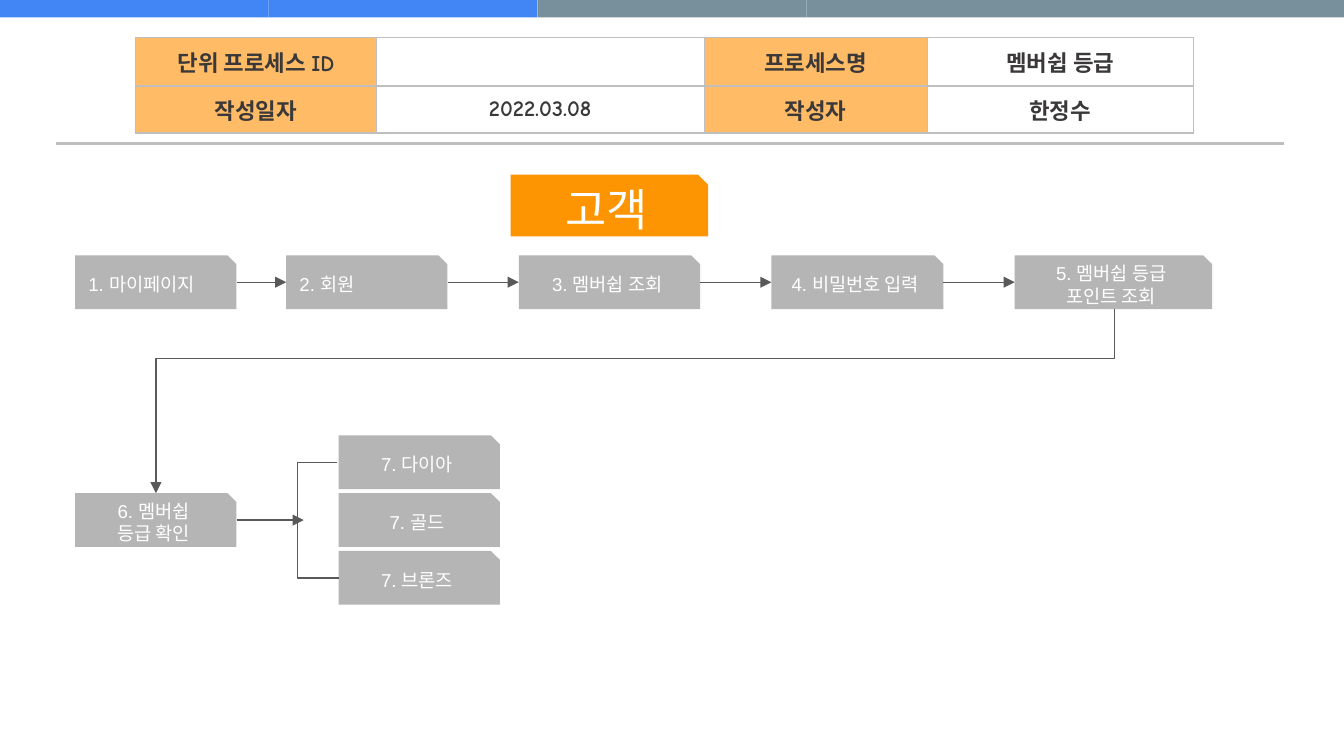
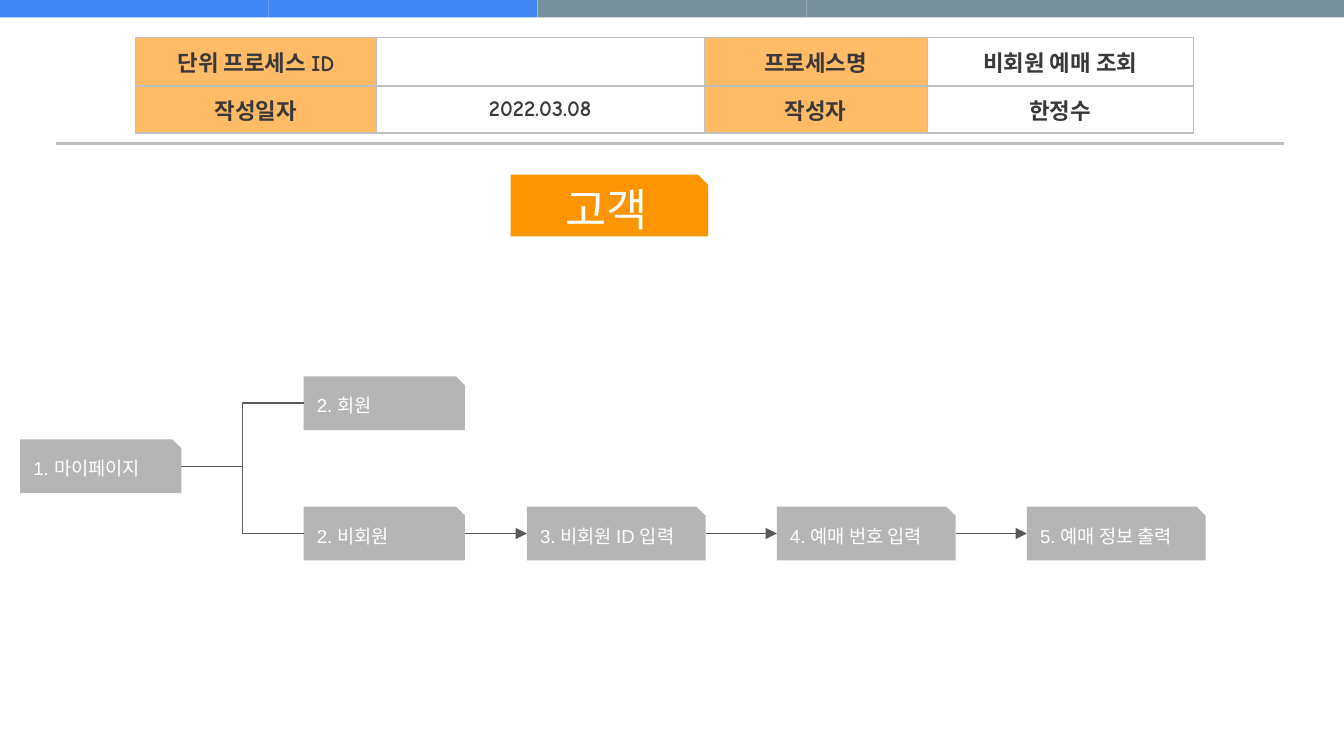
import pptx
import pptx.util
import pptx.dml.color
import pptx.enum.shapes
import pptx.enum.text
import pptx.oxml.ns
import lxml.etree

COLUMNS, ROWS = 1000, 562.5
CELL = pptx.util.Inches(0.01)
COLORS = {
    "blue": "4285F4", "slate": "78909C", "rule": "BFBFBF", "label": "FFAB40",
    "white": "FFFFFF", "ink": "3A3838", "role": "FD9401", "step": "B5B5B5",
    "arrow": "595959",
}
SHAPES = pptx.enum.shapes.MSO_SHAPE
LINES = pptx.enum.shapes.MSO_CONNECTOR
ALIGN = pptx.enum.text.PP_ALIGN
MIDDLE = pptx.enum.text.MSO_ANCHOR.MIDDLE
TABLE_FONT = {"name": "Comic Neue", "size": pptx.util.Pt(12), "bold": True}
STEP_FONT = {"name": "Arial", "size": pptx.util.Pt(10), "bold": False}
ROLE_FONT = {**STEP_FONT, "size": pptx.util.Pt(24)}
CELL_FORMAT = {
    "vertical_anchor": MIDDLE, "margin_left": 8 * CELL, "margin_right": 8 * CELL,
    "margin_top": 4 * CELL, "margin_bottom": 4 * CELL,
}
BOX_FORMAT = {
    "vertical_anchor": MIDDLE, "word_wrap": True,
    "margin_left": 10 * CELL, "margin_right": 10 * CELL,
    "margin_top": 5 * CELL, "margin_bottom": 5 * CELL,
}
STEP_WIDTH, STEP_HEIGHT, GAP = 120, 40, 53


def lengths(*cells):
    return [round(cell * CELL) for cell in cells]


def rgb(color):
    return pptx.dml.color.RGBColor.from_string(COLORS[color])


def apply_format(target, values):
    for name, value in values.items():
        setattr(target, name, value)


def add_node(parent, tag, **values):
    return lxml.etree.SubElement(parent, pptx.oxml.ns.qn(tag), values)


def write_text(frame, lines, font, color, align):
    for index, line in enumerate(lines):
        para = frame.add_paragraph() if index else frame.paragraphs[0]
        para.alignment = align
        span = para.add_run()
        span.text = line
        apply_format(span.font, font)
        span.font.color.rgb = rgb(color)


def add_box(page, kind, place, color):
    box = page.shapes.add_shape(kind, *lengths(*place))
    box.shadow.inherit = False
    box.fill.solid()
    box.fill.fore_color.rgb = rgb(color)
    box.line.fill.background()
    return box


def add_card(page, text, place, color="step", font=STEP_FONT, align=ALIGN.LEFT):
    box = add_box(page, SHAPES.SNIP_1_RECTANGLE, place, color)
    apply_format(box.text_frame, BOX_FORMAT)
    write_text(box.text_frame, text.split("\n"), font, "white", align)


def add_step(page, text, left, top, width=STEP_WIDTH, align=ALIGN.LEFT):
    add_card(page, text, (left, top, width, STEP_HEIGHT), align=align)


def add_line(page, start, end, color="arrow", width=0.75, kind=LINES.STRAIGHT,
             arrow=False, bend=None):
    line = page.shapes.add_connector(kind, *lengths(*start, *end))
    line.line.color.rgb = rgb(color)
    line.line.width = pptx.util.Pt(width)
    outline = line._element.spPr
    if arrow:
        add_node(outline.find(pptx.oxml.ns.qn("a:ln")), "a:tailEnd", type="triangle")
    if bend is not None:
        guides = outline.find(".//" + pptx.oxml.ns.qn("a:avLst"))
        add_node(guides, "a:gd", name="adj1", fmla=f"val {round(bend * 100000)}")
    add_node(outline, "a:effectLst")
    return line


def add_drop(page, start, end, bend):
    line = add_line(page, start, end, kind=LINES.ELBOW, arrow=True, bend=bend)
    width, height = end[1] - start[1], start[0] - end[0]
    middle_x, middle_y = (start[0] + end[0]) / 2, (start[1] + end[1]) / 2
    place = lengths(middle_x - width / 2, middle_y - height / 2, width, height)
    apply_format(line, dict(zip(("left", "top", "width", "height"), place)))
    frame = line._element.spPr.find(pptx.oxml.ns.qn("a:xfrm"))
    for flip in ("flipH", "flipV"):
        frame.attrib.pop(flip, None)
    frame.set("rot", str(90 * 60000))


def add_flow(page, left, top, steps):
    middle = top + STEP_HEIGHT / 2
    for text, width, gap, align in steps:
        add_step(page, text, left, top, width, align)
        if gap:
            add_line(page, (left + width, middle), (left + width + gap, middle), arrow=True)
        left += width + gap


def add_borders(cell):
    properties = cell._tc.get_or_add_tcPr()
    for index, side in enumerate(("a:lnL", "a:lnR", "a:lnT", "a:lnB")):
        border = add_node(properties, side, w=str(pptx.util.Pt(0.75)))
        add_node(add_node(border, "a:solidFill"), "a:srgbClr", val=COLORS["rule"])
        properties.insert(index, border)


def add_heading_table(page, title):
    texts = [["단위 프로세스 ID", "", "프로세스명", title],
             ["작성일자", "2022.03.08", "작성자", "한정수"]]
    widths, height = (179, 244, 166, 198), 35
    place = lengths(101, 28, sum(widths), height * len(texts))
    table = page.shapes.add_table(len(texts), len(widths), *place).table
    apply_format(table, {"first_row": False, "horz_banding": False})
    for column, width in zip(table.columns, lengths(*widths)):
        column.width = width
    for row_index, row in enumerate(texts):
        table.rows[row_index].height = height * CELL
        for column_index, text in enumerate(row):
            cell = table.cell(row_index, column_index)
            is_label = column_index % 2 == 0
            apply_format(cell, CELL_FORMAT)
            write_text(cell.text_frame, [text], TABLE_FONT, "ink", ALIGN.CENTER)
            cell.fill.solid()
            cell.fill.fore_color.rgb = rgb("label" if is_label else "white")
            if is_label:
                color = cell._tc.tcPr.find(".//" + pptx.oxml.ns.qn("a:srgbClr"))
                add_node(color, "a:alpha", val="80000")
            add_borders(cell)


def add_process_page(deck, title):
    page = deck.slides.add_slide(deck.slide_layouts[6])
    bands = ["blue"] * 2 + ["slate"] * 3
    width = COLUMNS / len(bands)
    for index, color in enumerate(bands):
        add_box(page, SHAPES.RECTANGLE, (index * width, 0, width, 13), color)
    add_line(page, (42, 107), (955, 107), "rule", 1.5)
    add_heading_table(page, title)
    add_card(page, "고객", (380, 130, 147, 46), "role", ROLE_FONT, ALIGN.CENTER)
    return page


def add_membership_page(deck):
    page = add_process_page(deck, "멤버쉽 등급")
    add_flow(page, 56, 190, [
        ("1. 마이페이지", STEP_WIDTH, 37, ALIGN.LEFT),
        ("2. 회원", STEP_WIDTH, GAP, ALIGN.LEFT),
        ("3. 멤버쉽 조회", 135, GAP, ALIGN.CENTER),
        ("4. 비밀번호 입력", 128, GAP, ALIGN.CENTER),
        ("5. 멤버쉽 등급\n포인트 조회", 147, 0, ALIGN.CENTER),
    ])
    top, pitch = 367, 43
    add_step(page, "6. 멤버쉽\n등급 확인", 56, top, align=ALIGN.CENTER)
    add_drop(page, (829, 230), (116, top), 0.27)
    for index, grade in enumerate(("다이아", "골드", "브론즈"), -1):
        add_step(page, f"7. {grade}", 252, top + index * pitch, align=ALIGN.CENTER)
    middle = top + STEP_HEIGHT / 2
    add_line(page, (251, middle - pitch), (252, middle + pitch),
             kind=LINES.ELBOW, bend=-30)
    add_line(page, (176, middle), (226, middle), arrow=True)


def add_guest_page(deck):
    page = add_process_page(deck, "비회원 예매 조회")
    add_step(page, "1. 마이페이지", 15, 327)
    add_step(page, "2. 회원", 226, 280)
    add_flow(page, 226, 377, [
        ("2. 비회원", STEP_WIDTH, 46, ALIGN.LEFT),
        ("3. 비회원 ID 입력", 133, GAP, ALIGN.LEFT),
        ("4. 예매 번호 입력", 133, GAP, ALIGN.LEFT),
        ("5. 예매 정보 출력", 133, 0, ALIGN.LEFT),
    ])
    add_line(page, (135, 347), (226, 300), kind=LINES.ELBOW, bend=0.5)
    add_line(page, (226, 397), (135, 347), kind=LINES.ELBOW, bend=0.5)


def main():
    deck = pptx.Presentation()
    deck.slide_width, deck.slide_height = lengths(COLUMNS, ROWS)
    add_membership_page(deck)
    add_guest_page(deck)
    deck.save("out.pptx")


main()
